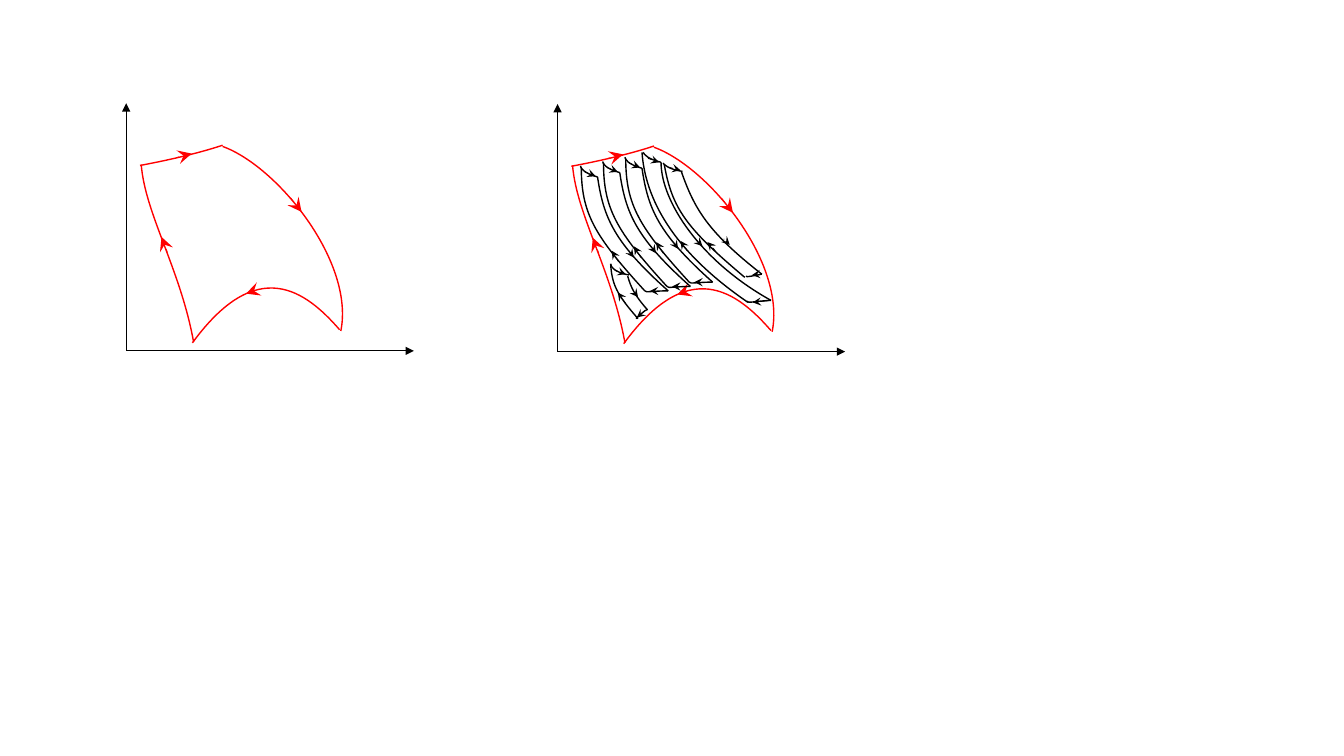
import pptx
import pptx.util
import pptx.dml.color
import pptx.enum.shapes
import pptx.oxml
import pptx.oxml.ns

COLORS = {"edge": "FF0000", "path": "000000", "axis": "000000"}

# Points are centimetres on the right plot; a curve is start, two handles, end.
AXES = [[(14.05, 8.86), (21.3, 8.86)], [(14.05, 8.86), (14.05, 2.62)]]
EDGE = {
    "curves": [
        [(14.43, 4.17), (14.53, 5.41), (15.42, 6.81), (15.75, 8.64)],
        [(16.48, 3.71), (17.88, 4.22), (19.81, 6.63), (19.46, 8.36)],
        [(15.72, 8.66), (17.35, 6.43), (18.57, 7.34), (19.43, 8.33)],
        [(14.4, 4.19), (15.37, 4.01), (16.1, 3.81), (16.48, 3.68)],
    ],
    "heads": [
        [(15.09, 6.38), (14.94, 5.99)],
        [(18.19, 5), (18.47, 5.36)],
        [(15.32, 3.99), (15.7, 3.89)],
        [(17.35, 7.32), (17.07, 7.42)],
    ],
}
LONG = {
    "curves": [
        [(16.66, 4.09), (16.66, 5.08), (17.65, 6.58), (19.43, 7.57)],
        [(16.21, 3.84), (16.23, 3.89), (16.33, 4.01), (16.66, 4.09)],
        [(16.18, 3.84), (16.26, 4.98), (16.92, 6.3), (18.85, 7.62)],
        [(18.82, 7.59), (18.85, 7.65), (19, 7.59), (19.43, 7.57)],
    ],
    "heads": [
        [(19.43, 7.57), (18.97, 7.62)],
        [(17.55, 6.05), (17.7, 6.2)],
        [(17.32, 6.32), (17.15, 6.07)],
        [(16.33, 3.99), (16.61, 4.09)],
    ],
}
MID = {
    "curves": [
        [(16.18, 4.24), (16.33, 5.26), (16.59, 5.89), (17.96, 7.11)],
        [(15.75, 3.96), (15.75, 4.01), (15.82, 4.14), (16.18, 4.24)],
        [(15.77, 3.99), (15.77, 5.16), (16.1, 5.72), (17.37, 7.11)],
        [(17.37, 7.11), (17.4, 7.16), (17.55, 7.11), (17.96, 7.11)],
    ],
    "heads": [
        [(17.7, 7.11), (17.5, 7.11)],
        [(16.97, 6.1), (17.09, 6.27)],
        [(16.71, 6.38), (16.54, 6.1)],
        [(15.85, 4.11), (16.13, 4.22)],
    ],
}
RIGHT = {
    "curves": [
        [(17.17, 4.32), (17.5, 5.26), (17.83, 5.84), (19.2, 6.91)],
        [(16.71, 4.11), (16.74, 4.14), (16.84, 4.27), (17.2, 4.32)],
        [(16.74, 4.14), (16.94, 5.28), (17.32, 5.77), (18.77, 6.99)],
        [(18.8, 6.96), (18.82, 6.99), (18.92, 6.96), (19.2, 6.91)],
    ],
    "heads": [
        [(19.13, 6.91), (18.95, 6.93)],
        [(18.24, 6.02), (18.39, 6.17)],
        [(18.03, 6.32), (17.83, 6.1)],
        [(16.87, 4.22), (17.15, 4.29)],
    ],
}
SMALL = {
    "curves": [
        [(15.82, 6.96), (15.9, 7.24), (15.98, 7.42), (16.31, 7.8)],
        [(15.39, 6.65), (15.39, 6.71), (15.47, 6.86), (15.85, 6.93)],
        [(15.39, 6.65), (15.42, 7.16), (15.54, 7.42), (16.08, 8.03)],
        [(16.33, 7.8), (16.31, 7.8), (16.26, 7.8), (16.03, 8.03)],
    ],
    "heads": [
        [(16.23, 7.85), (16.05, 8)],
        [(15.95, 7.32), (16.08, 7.49)],
        [(15.77, 7.65), (15.57, 7.37)],
        [(15.49, 6.81), (15.77, 6.91)],
    ],
}
HOME = (0, 0)
LEFT = (-10.87, -0.02)
STEP = (-0.56, 0.11)


def place(points, shift):
    return [(pptx.util.Cm(x + shift[0]), pptx.util.Cm(y + shift[1]))
            for x, y in points]


class Sketch:
    thin = pptx.util.Pt(0.5)
    thick = pptx.util.Pt(1)

    def __init__(self, slide):
        self.slide = slide

    def group(self):
        return self.slide.shapes.add_group_shape().shapes

    def stroke(self, shape, color, width):
        shape.line.color.rgb = pptx.dml.color.RGBColor.from_string(COLORS[color])
        shape.line.width = width

    def curve(self, group, points, color):
        """Draw a cubic curve by joining three segments into one Bezier."""
        start, *rest = points
        pen = group.build_freeform(*start)
        pen.add_line_segments(rest, close=False)
        shape = pen.convert_to_shape()
        shape.fill.background()
        shape.shadow.inherit = False
        self.stroke(shape, color, self.thick)
        lines = list(shape._element.iter(pptx.oxml.ns.qn("a:lnTo")))
        track = lines[0].getparent()
        bend = track.makeelement(pptx.oxml.ns.qn("a:cubicBezTo"), {})
        for line in lines:
            bend.append(line[0])
            track.remove(line)
        track.append(bend)

    def arrow(self, group, points, color, head="stealth", size="med"):
        start, end = points
        line = group.add_connector(
            pptx.enum.shapes.MSO_CONNECTOR.STRAIGHT, *start, *end)
        self.stroke(line, color, self.thin)
        tail = pptx.oxml.parse_xml(
            f'<a:tailEnd {pptx.oxml.ns.nsdecls("a")} '
            f'type="{head}" w="{size}" len="{size}"/>')
        line.line._get_or_add_ln().append(tail)
        line._element.spPr.append(pptx.oxml.parse_xml(
            f'<a:effectLst {pptx.oxml.ns.nsdecls("a")}/>'))

    def loop(self, parts, shift=HOME, color="path", size="med"):
        group = self.group()
        for points in parts["curves"]:
            self.curve(group, place(points, shift), color)
        for points in parts["heads"]:
            self.arrow(group, place(points, shift), color, size=size)

    def plot(self, shift):
        """Draw the red outline and its pair of axes."""
        self.loop(EDGE, shift, "edge", "lg")
        group = self.group()
        for points in AXES:
            self.arrow(group, place(points, shift), "axis", head="triangle")


def main():
    deck = pptx.Presentation()
    deck.slide_width = pptx.util.Cm(33.87)
    deck.slide_height = pptx.util.Cm(19.05)
    sketch = Sketch(deck.slides.add_slide(deck.slide_layouts[6]))
    sketch.loop(LONG)
    sketch.plot(HOME)
    for turn in range(3):
        sketch.loop(MID, (STEP[0] * turn, STEP[1] * turn))
    sketch.loop(RIGHT)
    sketch.loop(SMALL)
    sketch.plot(LEFT)
    deck.save("out.pptx")


if __name__ == "__main__":
    main()
